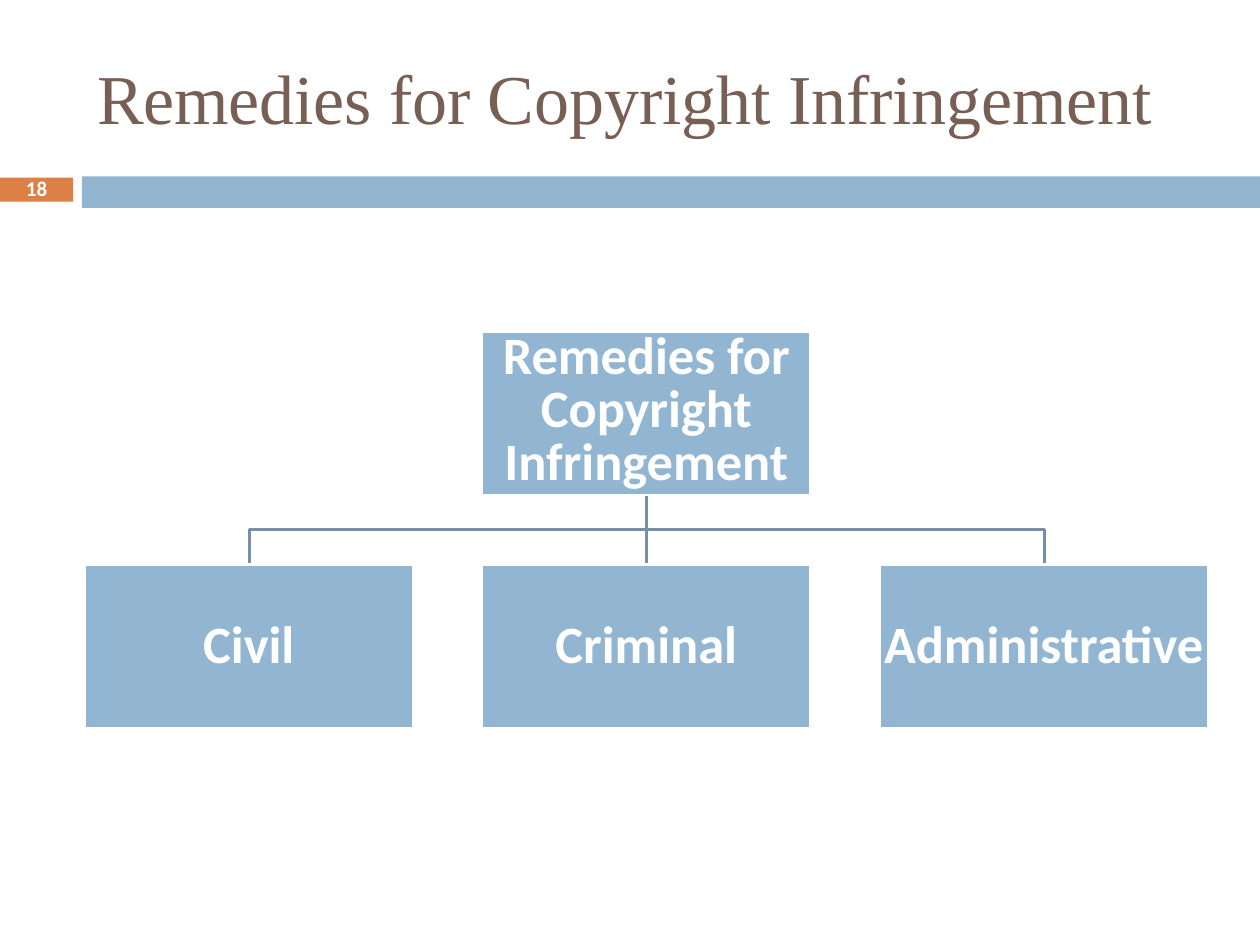
from dataclasses import dataclass

from pptx import Presentation
from pptx.dml.color import RGBColor
from pptx.enum import shapes, text
from pptx.util import Inches, Pt


@dataclass(frozen=True)
class Theme:
    """Colours, fonts and type sizes of the slide."""
    title_color: str = "775F53"
    accent: str = "DD8046"
    blue: str = "92B6D2"
    branch: str = "7590A7"
    white: str = "FFFFFF"
    title_font: str = "Times New Roman"
    body_font: str = "Calibri"
    title_size: int = 40
    box_size: int = 30
    number_size: int = 12
    line_width: float = 1.5
    tracking: str = "-5"


class SlideBuilder:
    """Draws styled elements on one slide."""

    def __init__(self, slide, theme):
        """Keep the slide and its theme."""
        self.slide = slide
        self.theme = theme

    def style(self, para, size, font, color, bold=False):
        """Set the font of a whole paragraph."""
        para.font.size = Pt(size)
        para.font.name = font
        para.font.bold = bold
        para.font.color.rgb = RGBColor.from_string(color)

    def set_margins(self, frame, top=0, bottom=0):
        """Set the inner margins of a text frame."""
        frame.margin_left = frame.margin_right = 0
        frame.margin_top, frame.margin_bottom = Inches(top), Inches(bottom)

    def title(self, words, left, top, width, height):
        """Place and format the title placeholder."""
        title = self.slide.shapes.title
        title.left, title.top = Inches(left), Inches(top)
        title.width, title.height = Inches(width), Inches(height)
        frame = title.text_frame
        frame.text = words
        self.set_margins(frame, top=0.01)
        frame.word_wrap = False
        frame.auto_size = text.MSO_AUTO_SIZE.NONE
        frame.vertical_anchor = text.MSO_ANCHOR.TOP
        para = frame.paragraphs[0]
        para.alignment = text.PP_ALIGN.LEFT
        para.space_before = Pt(1)
        self.style(para, self.theme.title_size, self.theme.title_font,
                   self.theme.title_color)
        for span in para.runs:
            span._r.get_or_add_rPr().set("spc", self.theme.tracking)

    def block(self, left, top, width, height, fill, words="", size=None,
              outline=None, spacing=1.0, lift=0.02):
        """Add a filled rectangle, with centred bold text if given."""
        box = self.slide.shapes.add_shape(
            shapes.MSO_SHAPE.RECTANGLE,
            Inches(left), Inches(top), Inches(width), Inches(height))
        box.shadow.inherit = False
        box.fill.solid()
        box.fill.fore_color.rgb = RGBColor.from_string(fill)
        if outline:
            box.line.color.rgb = RGBColor.from_string(outline)
            box.line.width = Pt(self.theme.line_width)
        else:
            box.line.fill.background()
        if words:
            frame = box.text_frame
            frame.text = words
            frame.word_wrap = True
            frame.vertical_anchor = text.MSO_ANCHOR.MIDDLE
            self.set_margins(frame, bottom=lift)
            para = frame.paragraphs[0]
            para.alignment = text.PP_ALIGN.CENTER
            para.line_spacing = spacing
            self.style(para, size, self.theme.body_font, self.theme.white, True)

    def branches(self, root, bus, ends):
        """Draw one outline of branches from the root point to all end points."""
        root_x, root_y = root
        builder = self.slide.shapes.build_freeform(
            Inches(root_x), Inches(root_y), scale=1.0)
        for x, y in ends:
            builder.move_to(Inches(root_x), Inches(root_y))
            corners = [(root_x, bus), (x, bus)] if x != root_x else []
            builder.add_line_segments(
                [(Inches(a), Inches(b)) for a, b in corners + [(x, y)]],
                close=False)
        shape = builder.convert_to_shape()
        shape.shadow.inherit = False
        shape.fill.background()
        shape.line.color.rgb = RGBColor.from_string(self.theme.branch)
        shape.line.width = Pt(self.theme.line_width)

    def tree(self, root, children, left, right, root_top, child_top, width, height):
        """Draw a root box with a row of child boxes spread from left to right."""
        step = (right - left - width) / (len(children) - 1)
        lefts = [left + index * step for index in range(len(children))]
        root_left = (left + right - width) / 2
        root_bottom = root_top + height
        half = width / 2

        self.branches((round(root_left + half, 2), root_bottom),
                      (root_bottom + child_top) / 2,
                      [(round(x + half, 2), child_top) for x in lefts])
        theme = self.theme
        self.block(root_left, root_top, width, height, theme.blue, root,
                   theme.box_size, theme.white, spacing=0.84)
        for x, words in zip(lefts, children):
            self.block(x, child_top, width, height, theme.blue, words,
                       theme.box_size, theme.white, lift=0.06)


def main():
    """Build the slide and save the deck."""
    deck = Presentation()
    deck.slide_width, deck.slide_height = Inches(10), Inches(7.5)
    theme = Theme()
    page = SlideBuilder(deck.slides.add_slide(deck.slide_layouts[5]), theme)
    heading = "Remedies for Copyright Infringement"

    page.title(heading, 0.77, 0.42, 8.44, 0.7)
    page.block(0, 1.41, 0.58, 0.19, theme.accent, "18", theme.number_size)
    page.block(0.65, 1.4, 9.35, 0.25, theme.blue)
    page.tree(heading, ["Civil", "Criminal", "Administrative"], left=0.67,
              right=9.59, root_top=2.63, child_top=4.48, width=2.61, height=1.3)
    deck.save("out.pptx")


main()
